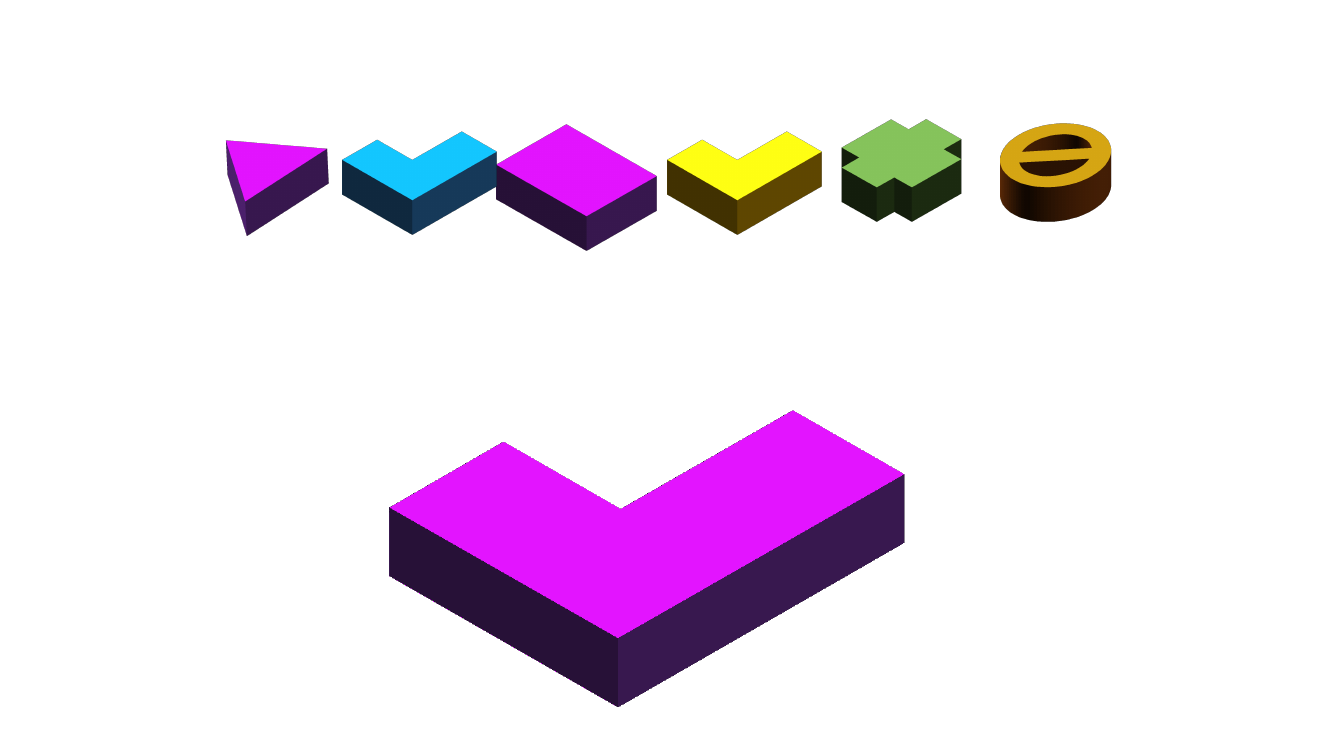
from lxml import etree
from pptx import Presentation
from pptx.dml.color import RGBColor
from pptx.enum.shapes import MSO_SHAPE
from pptx.oxml.ns import qn
from pptx.util import Cm

THEME = {
    "purple": ("CC00FF", "7030A0"),
    "blue": ("00B0F0", "2E75B6"),
    "yellow": ("FFFF00", "BF9000"),
    "green": ("70AD47", "385723"),
    "gold": ("BF9000", "843C0B"),
    "outline": Cm(0.04),
}
THIN, THICK = 1.06, 2.12

SOLIDS = [
    (MSO_SHAPE.ISOSCELES_TRIANGLE, "purple", (4.9, 2.9, 3, 2.21), THIN, {"rotation": 357.1}, [0.545]),
    (MSO_SHAPE.RECTANGLE, "purple", (13.28, 2.69, 2.49, 3.2), THIN, {}, []),
    (MSO_SHAPE.CROSS, "green", (21.21, 2.62, 3, 2.49), THIN, {}, []),
    (MSO_SHAPE.NO_SYMBOL, "gold", (25.1, 2.62, 3, 2.57), THIN, {}, []),
    (MSO_SHAPE.CORNER, "blue", (9.07, 2.69, 3, 2.49), THIN, {}, []),
    (MSO_SHAPE.CORNER, "yellow", (17.27, 2.69, 3, 2.49), THIN, {}, []),
    (MSO_SHAPE.CORNER, "purple", (11.2, 8.28, 10.21, 8.15), THICK, {}, [0.488, 0.5]),
]


def extrude(shape, depth):
    properties = shape.element.spPr
    scene = etree.SubElement(properties, qn("a:scene3d"))
    etree.SubElement(scene, qn("a:camera"), prst="isometricTopUp")
    etree.SubElement(scene, qn("a:lightRig"), rig="threePt", dir="t")
    etree.SubElement(properties, qn("a:sp3d"), extrusionH=str(int(Cm(depth))))


deck = Presentation()
deck.slide_width, deck.slide_height = Cm(33.87), Cm(19.05)
page = deck.slides.add_slide(deck.slide_layouts[6])

for kind, color, frame, depth, formats, adjustments in SOLIDS:
    solid = page.shapes.add_shape(kind, *map(Cm, frame))
    solid.shadow.inherit = False
    fill, line = map(RGBColor.from_string, THEME[color])
    solid.fill.solid()
    solid.fill.fore_color.rgb = fill
    solid.line.color.rgb = line
    solid.line.width = THEME["outline"]
    for name, value in formats.items():
        setattr(solid, name, value)
    for index, value in enumerate(adjustments):
        solid.adjustments[index] = value
    extrude(solid, depth)

deck.save("out.pptx")
